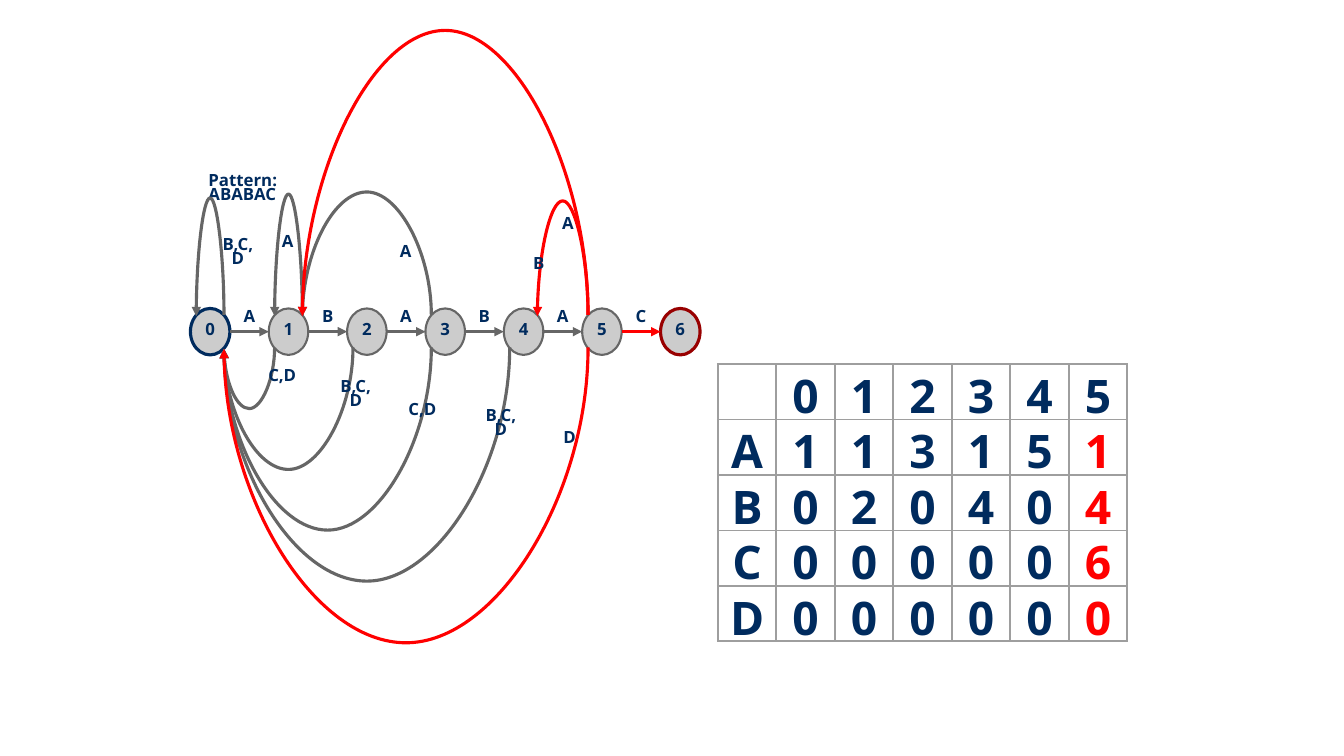
from lxml import etree
from pptx import Presentation
from pptx.dml.color import RGBColor
from pptx.enum import shapes, text
from pptx.oxml import ns
from pptx.util import Pt

FONT, NAVY, GRAY, RED = "Noto Sans", "002B5E", "666666", "FF0000"
STATE_X, STEP, STATE_Y = 150.1, 55.97, 236.9
STATE_W, STATE_H, SIDE = 28.2, 33.2, 9.9
ARC_TOP, ARC_BOTTOM, ARC_OFFSET = 225.4, 248.7, 1
CELL_W, CELL_H = 41.8, 39.6

ARCS = [
    (0, 0, -84.2, GRAY), (1, 0, 44, GRAY), (2, 0, 87.8, GRAY),
    (4, 0, 168.2, GRAY), (3, 0, 131.5, GRAY), (5, 0, 212.6, RED),
    (1, 1, -87, GRAY), (3, 1, -88.5, GRAY), (5, 1, -204.8, RED),
    (5, 4, -82.1, RED),
]
ARC_LABELS = [
    ("B,C,D", 151.2, 171.4, 37.4), ("C,D", 182.9, 259.9, 37.4),
    ("B,C,D", 235.4, 272.9, 37.4), ("B,C,D", 339.1, 293.8, 37.4),
    ("C,D", 283, 284.4, 37.4), ("D", 388.1, 304.6, 37.4),
    ("A", 191.5, 164.2, 28), ("A", 275.8, 171.4, 28),
    ("A", 391.7, 151.9, 28), ("B", 370.8, 180, 28),
]
TRANSITIONS = [" 012345", "A113151", "B020404", "C000006", "D000000"]


def rgb(value):
    """Turn a hex string into a colour."""
    return RGBColor.from_string(value)


def sub(parent, tag, **attrs):
    """Append a DrawingML element and return it."""
    return etree.SubElement(parent, ns.qn(tag), attrs)


def state_x(state):
    """Return the horizontal centre of a state."""
    return STATE_X + STEP * state


def add_run(p, words, size, color=NAVY):
    """Add one bold run to a paragraph."""
    r = p.add_run()
    r.text = words
    r.font.size, r.font.name, r.font.bold = Pt(size), FONT, True
    r.font.color.rgb = rgb(color)


def set_text(s, lines, align=text.PP_ALIGN.CENTER, anchor=text.MSO_ANCHOR.MIDDLE):
    """Write tightly spaced lines into a shape."""
    tf = s.text_frame
    tf.word_wrap = True
    tf.vertical_anchor = anchor
    tf.margin_left = tf.margin_right = tf.margin_top = tf.margin_bottom = Pt(5.6)
    p = tf.paragraphs[0]
    p.alignment, p.line_spacing = align, 0.69
    for i, line in enumerate(lines):
        if i:
            p.add_line_break()
        add_run(p, line, 12)


def add_label(slide, words, left, top, width):
    """Add a centred transition label."""
    sp = slide.shapes.add_textbox(Pt(left), Pt(top), Pt(width), Pt(18.7))
    set_text(sp, [words])


def add_state(slide, state, color, weight):
    """Add the numbered ellipse of a state."""
    sp = slide.shapes.add_shape(
        shapes.MSO_SHAPE.OVAL, Pt(state_x(state) - STATE_W / 2),
        Pt(STATE_Y - STATE_H / 2), Pt(STATE_W), Pt(STATE_H))
    sp.shadow.inherit = False
    sp.fill.solid()
    sp.fill.fore_color.rgb = rgb("CCCCCC")
    sp.line.color.rgb = rgb(color)
    sp.line.width = Pt(weight)
    set_text(sp, [str(state)])


def add_arrow(slide, kind, x1, y1, x2, y2, color):
    """Add a connector with a triangle at its end."""
    c = slide.shapes.add_connector(kind, Pt(x1), Pt(y1), Pt(x2), Pt(y2))
    c.line.color.rgb = rgb(color)
    c.line.width = Pt(2.25)
    sub(c.line._get_or_add_ln(), "a:tailEnd", type="triangle")
    sub(c._element.spPr, "a:effectLst")
    return c


def add_step(slide, state, words, color):
    """Add the labelled arrow from a state to the next one."""
    left = state_x(state) + STATE_W / 2
    right = state_x(state + 1) - STATE_W / 2
    add_arrow(slide, shapes.MSO_CONNECTOR.STRAIGHT,
              left, STATE_Y, right, STATE_Y, color)
    add_label(slide, words, (left + right) / 2 - 14, 218.2, 28)


def add_arc(slide, start, end, depth, color):
    """Add a quarter-turned curved arrow that leads back to a state."""
    loop = start == end
    x1 = state_x(start) + (SIDE if loop else -SIDE)
    x2 = state_x(end) + (-SIDE if loop else SIDE)
    x, y = (x1 + x2) / 2, ARC_TOP if depth < 0 else ARC_BOTTOM
    half, span = ARC_OFFSET / 2, (x1 - x2) / 2
    c = add_arrow(slide, shapes.MSO_CONNECTOR.CURVE,
                  x - half, y - span, x + half, y + span, color)
    spPr = c._element.spPr
    spPr.find(ns.qn("a:xfrm")).set("rot", "5400000")
    guides = spPr.find(ns.qn("a:prstGeom")).find(ns.qn("a:avLst"))
    ratio = round(depth / ARC_OFFSET * 100000)
    sub(guides, "a:gd", name="adj1", fmla=f"val {ratio}")


def style_cell(cell, words, color):
    """Fill in one table cell and draw its borders."""
    cell.margin_left = cell.margin_right = cell.margin_top = cell.margin_bottom = 0
    tcPr = cell._tc.get_or_add_tcPr()
    for side in "LRTB":
        ln = sub(tcPr, f"a:ln{side}", w=str(Pt(1.5)))
        sub(sub(ln, "a:solidFill"), "a:srgbClr", val="9E9E9E")
    cell.fill.background()
    if words.strip():
        p = cell.text_frame.paragraphs[0]
        p.alignment = text.PP_ALIGN.CENTER
        add_run(p, words, 33, color)


def add_transition_table(slide):
    """Add the table of transitions with the last state in red."""
    rows, cols = len(TRANSITIONS), len(TRANSITIONS[0])
    table = slide.shapes.add_table(
        rows, cols, Pt(512.8), Pt(260), Pt(CELL_W * cols), Pt(CELL_H * rows)).table
    table.first_row = table.horz_banding = False
    for col in table.columns:
        col.width = Pt(CELL_W)
    for i, row in enumerate(TRANSITIONS):
        table.rows[i].height = Pt(CELL_H)
        for j, words in enumerate(row):
            color = RED if i and j == cols - 1 else NAVY
            style_cell(table.cell(i, j), words, color)


def main():
    """Build the automaton slide."""
    prs = Presentation()
    prs.slide_width, prs.slide_height = Pt(960), Pt(540)
    slide = prs.slides.add_slide(prs.slide_layouts[6])
    pattern = slide.shapes.add_textbox(Pt(143.3), Pt(119.5), Pt(72.7), Pt(45.4))
    set_text(pattern, ["Pattern:", "ABABAC"],
             text.PP_ALIGN.LEFT, text.MSO_ANCHOR.TOP)
    outlines = {0: (NAVY, 2.25), 6: ("980000", 2.25)}
    for state in range(7):
        add_state(slide, state, *outlines.get(state, (GRAY, 1.5)))
    for state, words in enumerate("ABABAC"):
        add_step(slide, state, words, RED if state == 5 else GRAY)
    for arc in ARCS:
        add_arc(slide, *arc)
    for label in ARC_LABELS:
        add_label(slide, *label)
    add_transition_table(slide)
    prs.save("out.pptx")


if __name__ == "__main__":
    main()
